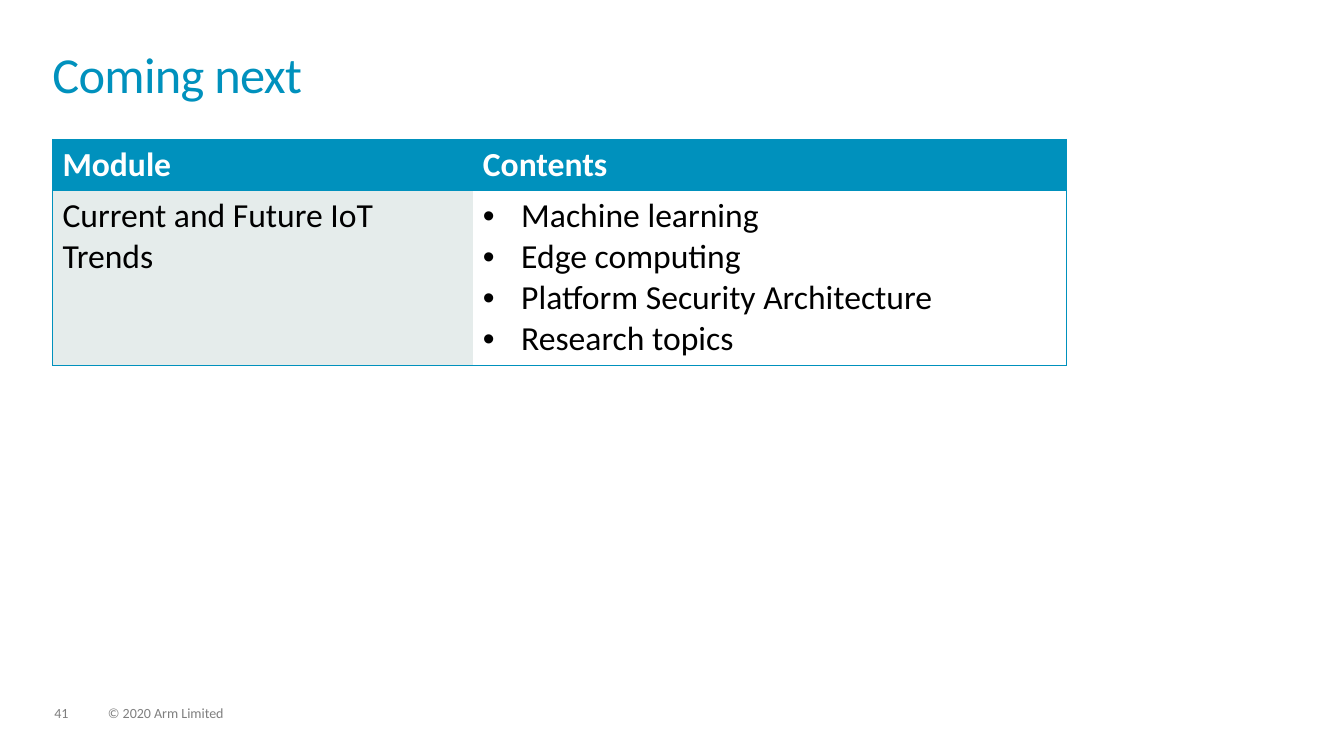
from dataclasses import dataclass

from lxml.etree import SubElement
from pptx import Presentation
from pptx.dml.color import RGBColor
from pptx.enum.text import MSO_ANCHOR
from pptx.oxml.ns import qn
from pptx.util import Pt

EMU_PER_PX = 9144


@dataclass(frozen=True)
class Theme:
    font: str = "Calibri"
    accent: str = "0091BD"
    white: str = "FFFFFF"
    black: str = "000000"
    label_fill: str = "E5ECEB"
    muted: str = "7F7F7F"
    title_size: int = 36
    table_size: int = 24
    footer_size: int = 10
    border_width: float = 0.5


THEME = Theme()
TITLE_BOX = (52, 52, 1228, 72)
TABLE_BOX = (52, 138, 1006, 224)
FOOTER_BOX = (54, 701, 224, 15)
HEADERS = ("Module", "Contents")
MODULE = "Current and Future IoT Trends"
CONTENTS = ("Machine learning", "Edge computing",
            "Platform Security Architecture", "Research topics")


def px(length):
    return round(length * EMU_PER_PX)


def set_all(target, values):
    for name, value in values.items():
        setattr(target, name, value)


def style_font(font, size, color, bold=False):
    set_all(font, {"name": THEME.font, "size": Pt(size), "bold": bold})
    font.color.rgb = RGBColor.from_string(color)


def add_text(slide, box, text, size, color, line_spacing):
    """Add an unpadded text box and return its run."""
    frame = slide.shapes.add_textbox(*map(px, box)).text_frame
    set_all(frame, {"word_wrap": True, "vertical_anchor": MSO_ANCHOR.TOP,
                    "margin_left": 0, "margin_right": 0,
                    "margin_top": 0, "margin_bottom": 0})
    paragraph = frame.paragraphs[0]
    paragraph.line_spacing = line_spacing
    run = paragraph.add_run()
    run.text = text
    style_font(run.font, size, color)
    return run


def add_title(slide, box):
    run = add_text(slide, box, "Coming next", THEME.title_size, THEME.accent, 0.85)
    run.font._element.set("spc", "-50")


def add_footer(slide, box):
    left, top, width, height = box
    number_width, copyright_offset = 34, 53
    parts = (("41", 0, number_width),
             ("© 2020 Arm Limited", copyright_offset, width - copyright_offset))
    for text, offset, part_width in parts:
        add_text(slide, (left + offset, top, part_width, height), text,
                 THEME.footer_size, THEME.muted, 0.9)


def add_bullet(paragraph):
    properties = paragraph._p.get_or_add_pPr()
    indent = px(38)
    properties.set("marL", str(indent))
    properties.set("indent", str(-indent))
    SubElement(properties, qn("a:buFont"), typeface="Arial")
    SubElement(properties, qn("a:buChar"), char="•")


def set_borders(cell, sides):
    """Draw the named sides (L, R, T, B) and clear the others."""
    properties = cell._tc.get_or_add_tcPr()
    for side in "LRTB":
        line = SubElement(properties, qn(f"a:ln{side}"), w=str(Pt(THEME.border_width)))
        if side in sides:
            fill = SubElement(line, qn("a:solidFill"))
            SubElement(fill, qn("a:srgbClr"), val=THEME.accent)
        else:
            SubElement(line, qn("a:noFill"))


def fill_cell(cell, lines, fill, color, sides, bold=False, bulleted=False):
    set_borders(cell, sides)
    cell.fill.solid()
    cell.fill.fore_color.rgb = RGBColor.from_string(fill)
    cell.text = "\n".join(lines)
    for paragraph in cell.text_frame.paragraphs:
        if bulleted:
            add_bullet(paragraph)
        style_font(paragraph.runs[0].font, THEME.table_size, color, bold)


def add_module_table(slide, box):
    header_height, module_width = 51, 417
    width, height = box[2:]
    table = slide.shapes.add_table(2, 2, *map(px, box)).table
    for column, size in zip(table.columns, (module_width, width - module_width)):
        column.width = px(size)
    for row, size in zip(table.rows, (header_height, height - header_height)):
        row.height = px(size)
    for column, (header, side) in enumerate(zip(HEADERS, "LR")):
        fill_cell(table.cell(0, column), [header], THEME.accent, THEME.white,
                  side + "TB", bold=True)
    fill_cell(table.cell(1, 0), [MODULE], THEME.label_fill, THEME.black, "LTB")
    fill_cell(table.cell(1, 1), CONTENTS, THEME.white, THEME.black, "RTB", bulleted=True)


def main():
    presentation = Presentation()
    set_all(presentation, {"slide_width": px(1333), "slide_height": px(750)})
    slide = presentation.slides.add_slide(presentation.slide_layouts[6])
    add_footer(slide, FOOTER_BOX)
    add_title(slide, TITLE_BOX)
    add_module_table(slide, TABLE_BOX)
    presentation.save("out.pptx")


if __name__ == "__main__":
    main()
